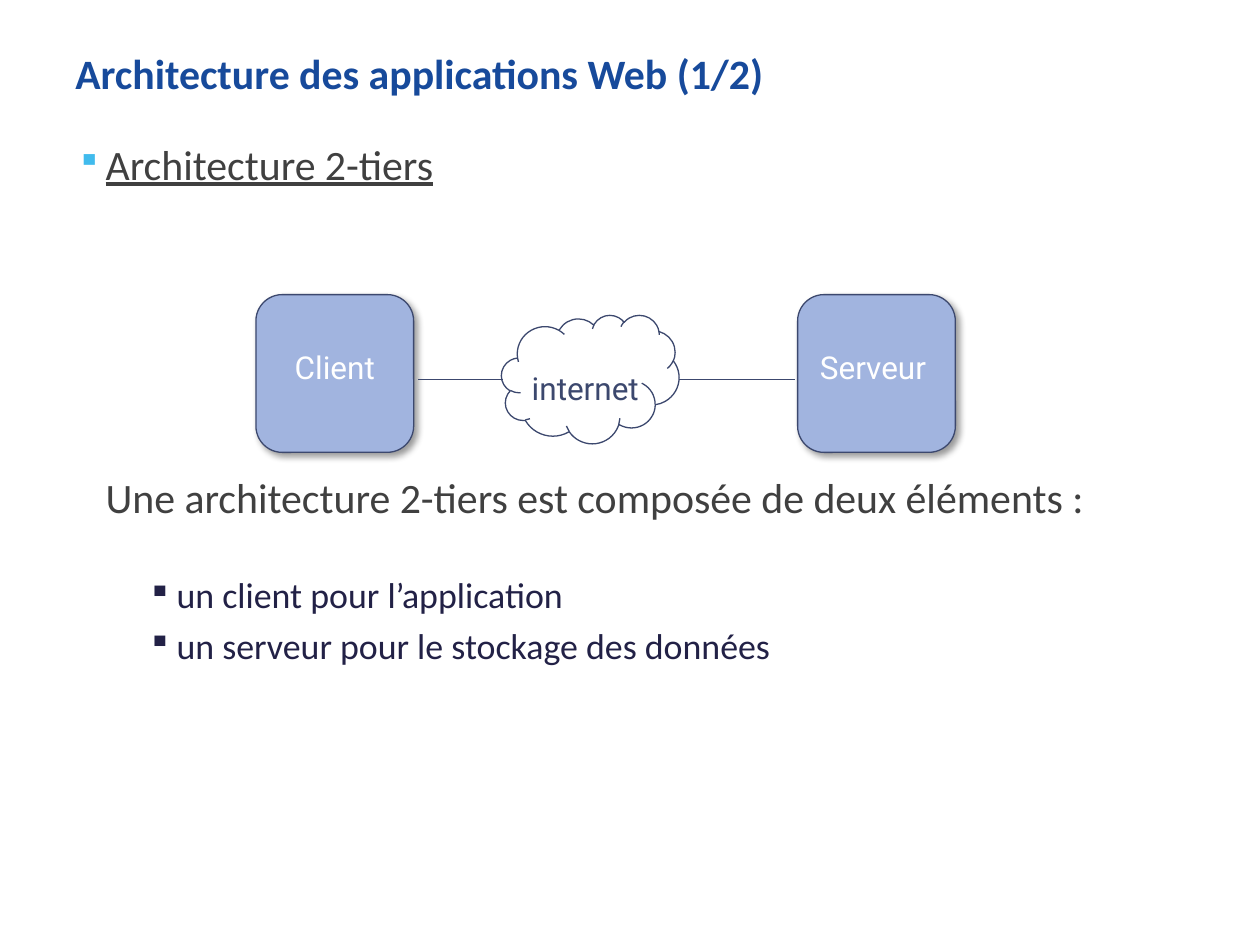
"""Build the slide on two-tier web application architecture."""
from dataclasses import dataclass

from lxml.etree import SubElement
from pptx import Presentation
from pptx.dml.color import RGBColor
from pptx.enum.shapes import MSO_CONNECTOR, MSO_SHAPE
from pptx.enum.text import PP_ALIGN
from pptx.oxml.ns import qn
from pptx.util import Cm, Pt


@dataclass(frozen=True)
class Theme:
    title: str = "174A9B"
    body: str = "404040"
    item: str = "222146"
    mark: str = "40BBED"
    node: str = "A1B4DF"
    edge: str = "3C486E"
    white: str = "FFFFFF"
    shade: str = "000000"
    large: float = 23.9
    small: float = 20.5
    label: float = 18
    stroke: float = 0.75
    main: str = "Calibri"
    tag: str = "Roboto"


class Board:
    def __init__(self, slide, theme):
        self.slide = slide
        self.theme = theme

    def frame(self, *area, pad=None):
        frame = self.slide.shapes.add_textbox(*map(Cm, area)).text_frame
        frame.word_wrap = True
        if pad:
            frame.margin_left = frame.margin_right = Cm(pad[0])
            frame.margin_top = frame.margin_bottom = Cm(pad[1])
        return frame

    def text(self, para, words, size, color, face=None, bold=False, under=False):
        run = para.add_run()
        run.text = words
        font = run.font
        font.name = face or self.theme.main
        font.size = Pt(size)
        font.color.rgb = RGBColor.from_string(color)
        font.bold = bold
        font.underline = under

    def indent(self, para, left, hang=0):
        props = para._p.get_or_add_pPr()
        props.set("marL", str(Cm(left)))
        props.set("indent", str(-Cm(hang)))
        return props

    def bullet(self, para, left, color, scale):
        props = self.indent(para, left, 0.58)
        tint = SubElement(props, qn("a:buClr"))
        SubElement(tint, qn("a:srgbClr"), val=color)
        SubElement(props, qn("a:buSzPct"), val=str(scale * 1000))
        SubElement(props, qn("a:buChar"), char="▪")

    def shape(self, kind, area, fill):
        shape = self.slide.shapes.add_shape(kind, *map(Cm, area))
        shape.shadow.inherit = False
        shape.fill.solid()
        shape.fill.fore_color.rgb = RGBColor.from_string(fill)
        self.stroke(shape.line)
        return shape

    def stroke(self, line):
        line.color.rgb = RGBColor.from_string(self.theme.edge)
        line.width = Pt(self.theme.stroke)

    def node(self, left):
        area = (left, 5.94, 3.18, 3.18)
        shape = self.shape(MSO_SHAPE.ROUNDED_RECTANGLE, area, self.theme.node)
        effects = shape._element.spPr.find(qn("a:effectLst"))
        shadow = SubElement(effects, qn("a:outerShdw"), blurRad=str(Pt(4)),
                            dist=str(Pt(3)), dir="2700000", algn="tl", rotWithShape="0")
        tint = SubElement(shadow, qn("a:srgbClr"), val=self.theme.shade)
        SubElement(tint, qn("a:alpha"), val="40000")

    def link(self, start, end):
        level = Cm(7.65)
        line = self.slide.shapes.add_connector(
            MSO_CONNECTOR.STRAIGHT, Cm(start), level, Cm(end), level)
        self.stroke(line.line)
        SubElement(line._element.spPr, qn("a:effectLst"))

    def label(self, words, area, color, align=PP_ALIGN.CENTER):
        para = self.frame(*area).paragraphs[0]
        para.alignment = align
        para.line_spacing = 2.26
        self.text(para, words, self.theme.label, color, self.theme.tag)


def main():
    deck = Presentation()
    deck.slide_width, deck.slide_height = Cm(25.4), Cm(19.05)
    theme = Theme()
    board = Board(deck.slides.add_slide(deck.slide_layouts[6]), theme)
    pad = (0.28, 0.15)

    title = board.frame(1.24, 0.81, 22.89, 1.63, pad=pad).paragraphs[0]
    board.text(title, "Architecture des applications Web (1/2)",
               theme.large, theme.title, bold=True)

    body = board.frame(1.27, 2.64, 22.86, 13.79, pad=pad)
    head = body.paragraphs[0]
    board.bullet(head, 0.58, theme.mark, 80)
    board.text(head, "Architecture 2-tiers", theme.large, theme.body, under=True)

    intro = body.add_paragraph()
    board.indent(intro, 0.58)
    intro.space_before = Pt(162)
    board.text(intro, "Une architecture 2-tiers est composée de deux éléments :",
               theme.large, theme.body)

    for words, gap in (("un client pour l’application", 29),
                       ("un serveur pour le stockage des données", 4.1)):
        item = body.add_paragraph()
        item.level = 1
        board.bullet(item, 2.01, theme.item, 90)
        item.space_before = Pt(gap)
        board.text(item, words, theme.small, theme.item)

    for left in (5.16, 16.08):
        board.node(left)
    board.label("Client", (5.16, 5.94, 3.18, 1.98), theme.white)
    board.label("Serveur", (16.28, 5.94, 3.38, 1.73), theme.white, PP_ALIGN.LEFT)

    board.shape(MSO_SHAPE.CLOUD, (10.11, 6.35, 3.58, 2.59), theme.white)
    for start, end in ((8.43, 10.13), (13.69, 16.03)):
        board.link(start, end)
    board.label("internet", (10.11, 6.35, 3.38, 1.98), theme.edge)

    deck.save("out.pptx")


if __name__ == "__main__":
    main()
